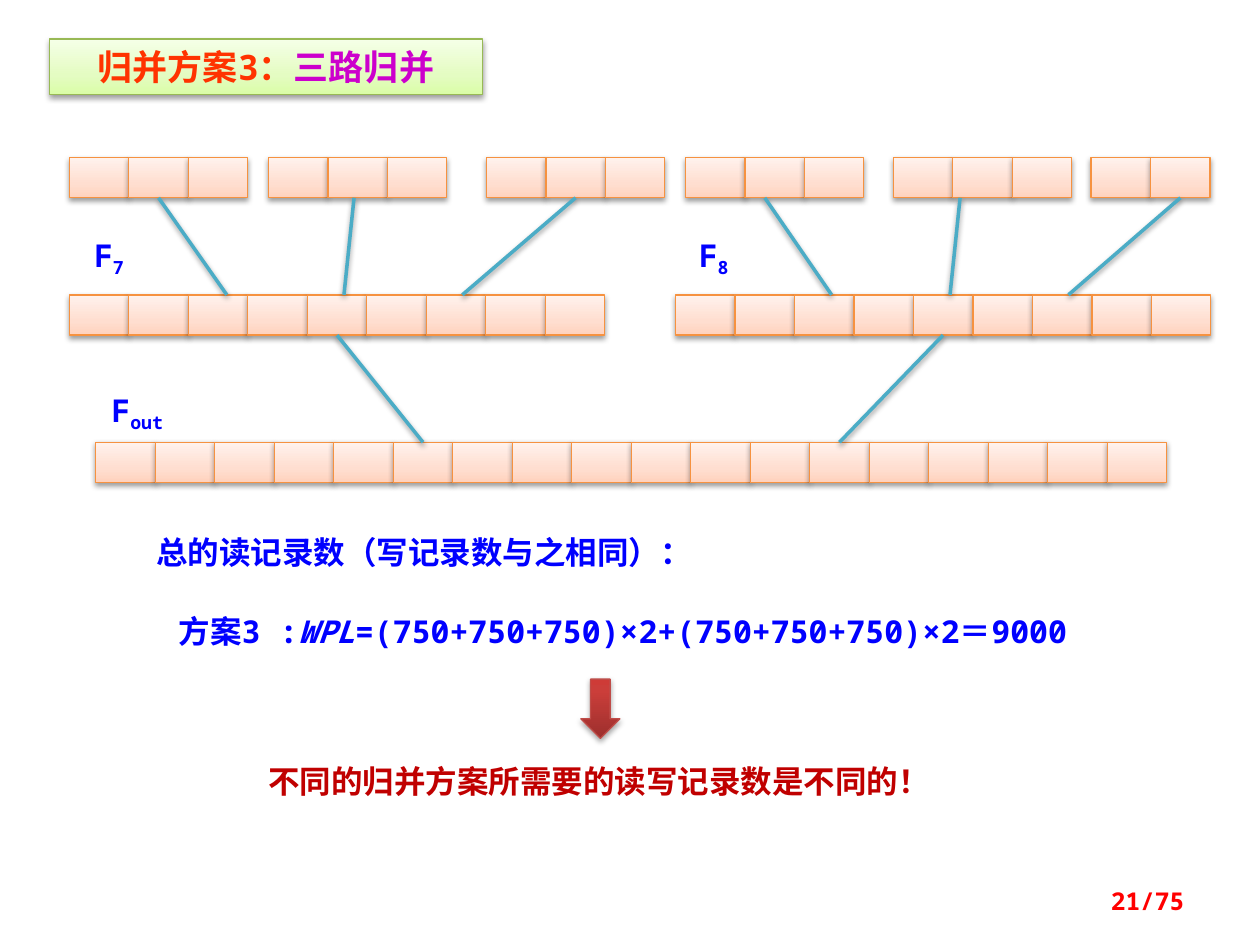
from dataclasses import dataclass

from lxml import etree
from pptx import Presentation
from pptx.dml.color import RGBColor
from pptx.enum.shapes import MSO_CONNECTOR, MSO_SHAPE
from pptx.enum.text import MSO_ANCHOR, MSO_AUTO_SIZE, PP_ALIGN
from pptx.oxml.ns import qn
from pptx.util import Inches, Pt

RECT, ARROW = MSO_SHAPE.RECTANGLE, MSO_SHAPE.DOWN_ARROW
LINE = MSO_CONNECTOR.STRAIGHT
LEFT, CENTER, RIGHT = PP_ALIGN.LEFT, PP_ALIGN.CENTER, PP_ALIGN.RIGHT
TOP, MIDDLE = MSO_ANCHOR.TOP, MSO_ANCHOR.MIDDLE
FIXED = MSO_AUTO_SIZE.NONE
CELL, TALL = 8.5 / 18, 0.32
RUN_Y, MERGE_Y, OUT_Y = 1.25, 2.34, 3.51


@dataclass(frozen=True)
class Theme:
    """Colours, fonts and type sizes of the slide."""

    mono: str = "Noto Sans Mono"
    sans: str = "Noto Sans CJK JP"
    head: int = 20
    body: int = 18
    foot: int = 14
    blue: str = "0000FF"
    red: str = "FF0000"
    dark: str = "C00000"
    orange: str = "FF3300"
    purple: str = "CC00CC"
    teal: str = "4BACC6"
    green_edge: str = "98B955"
    peach_edge: str = "F69240"
    brick_edge: str = "BF4C48"
    green: tuple = ((0, "DAFDA7"), (35, "E4FCC2"), (100, "F5FFE7"))
    peach: tuple = ((0, "FFD2BD"), (35, "FFDED0"), (100, "FFF2ED"))
    brick: tuple = ((0, "9C2F2D"), (80, "CB3E3A"), (100, "CE3B37"))


class Deck:
    """Draws styled elements on the current slide."""

    def __init__(self, theme):
        self.theme = theme
        self.file = Presentation()
        self.file.slide_width, self.file.slide_height = Inches(10), Inches(7.5)
        self.slide = self.file.slides.add_slide(self.file.slide_layouts[5])

    def shade(self, shape, alpha=38):
        """Give a shape a soft shadow below it."""
        group = etree.SubElement(shape._element.spPr, qn("a:effectLst"))
        cast = etree.SubElement(group, qn("a:outerShdw"), blurRad="40000",
                                dist="20000", dir="5400000", rotWithShape="0")
        tone = etree.SubElement(cast, qn("a:srgbClr"), val="000000")
        etree.SubElement(tone, qn("a:alpha"), val=str(alpha * 1000))

    def paint(self, shape, stops, edge, alpha=38):
        """Fill a shape with an upward gradient, an edge and a shadow."""
        shape.fill.gradient()
        shape.fill.gradient_angle = 90
        group = shape._element.spPr.find(".//" + qn("a:gsLst"))
        for stop in list(group):
            group.remove(stop)
        for pos, tone in stops:
            stop = etree.SubElement(group, qn("a:gs"), pos=str(pos * 1000))
            etree.SubElement(stop, qn("a:srgbClr"), val=tone)
        shape.line.color.rgb = RGBColor.from_string(edge)
        shape.line.width = Pt(0.75)
        self.shade(shape, alpha)

    def letter(self, shape, parts, size, align=LEFT, anchor=TOP, font=None):
        """Set runs given as text, colour and an optional style."""
        frame = shape.text_frame
        frame.word_wrap, frame.auto_size = True, FIXED
        frame.vertical_anchor = anchor
        line = frame.paragraphs[0]
        line.alignment = align
        for text, tone, *style in parts:
            run = line.add_run()
            run.text = text
            run.font.name = font or self.theme.mono
            run.font.size, run.font.bold = Pt(size), True
            run.font.italic = "italic" in style
            run.font.color.rgb = RGBColor.from_string(tone)
            props = run._r.get_or_add_rPr()
            etree.SubElement(props, qn("a:ea"), typeface=self.theme.sans)
            if "sub" in style:
                props.set("baseline", "-25000")

    def title(self, box, parts):
        """Place the title as a shaded green banner."""
        shape = self.slide.shapes.title
        shape.left, shape.top, shape.width, shape.height = map(Inches, box)
        self.paint(shape, self.theme.green, self.theme.green_edge)
        self.letter(shape, parts, self.theme.head, CENTER, MIDDLE)

    def text(self, box, parts, size, **style):
        """Add a text box."""
        shape = self.slide.shapes.add_textbox(*map(Inches, box))
        self.letter(shape, parts, size, **style)
        return shape

    def label(self, box, name, sub):
        """Add a file name with a subscript and no margins."""
        tone = self.theme.blue
        frame = self.text(box, [(name, tone), (sub, tone, "sub")],
                          self.theme.body, align=CENTER).text_frame
        frame.margin_left = frame.margin_right = 0
        frame.margin_top = frame.margin_bottom = 0

    def shape(self, kind, box, stops, edge, alpha=38):
        """Add a gradient shape."""
        shape = self.slide.shapes.add_shape(kind, *map(Inches, box))
        self.paint(shape, stops, edge, alpha)
        return shape

    def row(self, left, top, count):
        """Add a run of touching record cells."""
        return [self.shape(RECT, (left + i * CELL, top, CELL, TALL),
                           self.theme.peach, self.theme.peach_edge)
                for i in range(count)]

    def link(self, start, end, source=None, target=None):
        """Draw a line and join it to any cells given."""
        line = self.slide.shapes.add_connector(
            LINE, *map(Inches, (*start, *end)))
        line.line.color.rgb = RGBColor.from_string(self.theme.teal)
        line.line.width = Pt(2)
        if source is not None:
            line.begin_connect(source, 2)
        if target is not None:
            line.end_connect(target, 0)
        self.shade(line)


def main():
    """Build the three-way merge slide."""
    theme = Theme()
    deck = Deck(theme)
    blue = theme.blue
    deck.title((0.39, 0.31, 3.44, 0.44),
               [("归并方案3：", theme.orange), ("三路归并", theme.purple)])

    lefts = (0.55, 2.13, 3.86, 5.44, 7.09, 8.66)
    runs = [deck.row(x, RUN_Y, 2 if x == lefts[-1] else 3) for x in lefts]
    seven = deck.row(0.55, MERGE_Y, 9)
    eight = deck.row(5.36, MERGE_Y, 9)
    out = deck.row(0.76, OUT_Y, 18)

    base = RUN_Y + TALL
    for x, end, cell in ((1.26, 1.8, runs[0][1]), (2.81, 2.73, None),
                         (4.57, 3.67, runs[2][1]), (6.07, 6.6, None),
                         (7.62, 7.54, None), (9.38, 8.48, runs[5][1])):
        deck.link((x, base), (end, MERGE_Y), cell)
    base = MERGE_Y + TALL
    deck.link((2.68, base), (3.35, OUT_Y), seven[4], out[5])
    deck.link((7.48, base), (6.66, OUT_Y), eight[4], out[12])

    deck.label((0.55, 1.87, 0.63, 0.3), "F", "7")
    deck.label((5.35, 1.87, 0.63, 0.3), "F", "8")
    deck.label((0.62, 3.1, 0.94, 0.3), "F", "out")

    deck.text((1.14, 4.18, 6.5, 0.4),
              [("总的读记录数（写记录数与之相同）：", blue)], theme.body)
    deck.text((1.32, 4.81, 7.43, 0.4),
              [("方案3 :", blue), ("WPL", blue, "italic"),
               ("=(750+750+750)×2+(750+750+750)×2＝9000", blue)], theme.body)
    deck.text((2.03, 6, 5.7, 0.4),
              [("不同的归并方案所需要的读写记录数是不同的！", theme.dark)],
              theme.body, font=theme.sans)
    deck.shape(ARROW, (4.61, 5.39, 0.31, 0.47), theme.brick,
               theme.brick_edge, 35)
    deck.text((7.17, 6.95, 2.33, 0.4), [("21/75", theme.red)], theme.foot,
              align=RIGHT, anchor=MIDDLE)
    deck.file.save("out.pptx")


if __name__ == "__main__":
    main()
